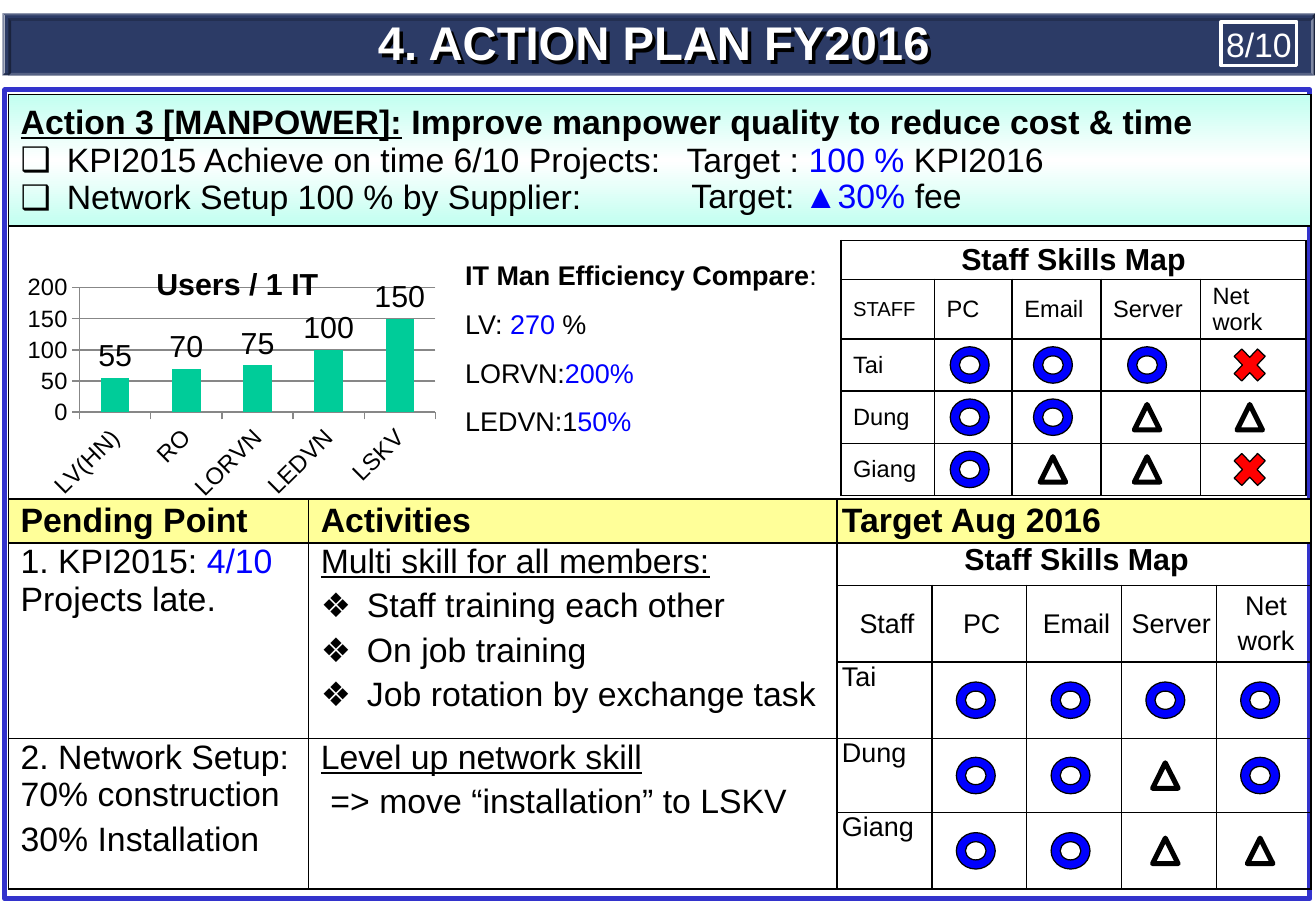
from dataclasses import dataclass
from itertools import accumulate

from lxml import etree
from pptx import Presentation, util as u
from pptx.chart.data import CategoryChartData
from pptx.dml.color import RGBColor
from pptx.enum import chart as charts, shapes, text
from pptx.oxml import parse_xml
from pptx.oxml.ns import nsdecls, qn


@dataclass(frozen=True)
class Theme:
    font: str = "Arial"
    black: str = "000000"
    white: str = "FFFFFF"
    navy: str = "2C3B66"
    frame: str = "3333CC"
    blue: str = "0000FF"
    red: str = "FF0000"
    green: str = "00CC99"
    mint: str = "C2FFF0"
    yellow: str = "FFFF99"
    gray: str = "878787"
    title: int = 28
    body: int = 20
    heading: int = 18
    label: int = 16
    small: int = 14
    tiny: int = 12


THEME = Theme()
CENTER = text.PP_ALIGN.CENTER
MIDDLE = text.MSO_ANCHOR.MIDDLE
SHAPE = shapes.MSO_SHAPE


def rgb(color):
    return RGBColor.from_string(color)


def blue(words):
    return words, {"color": THEME.blue}


def write(frame, *runs, size=THEME.body, bold=False, underline=False, color=THEME.black,
          align=None, bullet=None, before=0, spacing=None, indent=0):
    paragraph = frame.paragraphs[0]
    if paragraph.runs:
        paragraph = frame.add_paragraph()
        paragraph.space_before = u.Pt(before)
    paragraph.alignment = align
    paragraph.line_spacing = spacing
    properties = paragraph._p.get_or_add_pPr()
    if bullet or indent:
        properties.set("marL", str(u.Inches(indent or 0.38)))
    if bullet:
        properties.set("indent", str(-u.Inches(0.38)))
        etree.SubElement(properties, qn("a:buFont")).set("typeface", THEME.font)
        etree.SubElement(properties, qn("a:buChar")).set("char", bullet)
    base = {"bold": bold, "underline": underline, "color": color}
    for item in runs:
        words, changes = (item, {}) if isinstance(item, str) else item
        style = {**base, **changes}
        run = paragraph.add_run()
        run.text = words
        run.font.name, run.font.size = THEME.font, u.Pt(size)
        run.font.bold, run.font.underline = style["bold"], style["underline"]
        run.font.color.rgb = rgb(style["color"])


def draw(slide, kind, box, fill=None, line=None, weight=0.75):
    shape = slide.shapes.add_shape(kind, *map(u.Inches, box))
    shape.shadow.inherit = False
    if fill:
        shape.fill.solid()
        shape.fill.fore_color.rgb = rgb(fill)
    else:
        shape.fill.background()
    if line:
        shape.line.color.rgb = rgb(line)
        shape.line.width = u.Pt(weight)
    else:
        shape.line.fill.background()
    return shape


def set_margins(holder, left=0, top=0, right=0, bottom=0):
    holder.margin_left, holder.margin_top = u.Inches(left), u.Inches(top)
    holder.margin_right, holder.margin_bottom = u.Inches(right), u.Inches(bottom)


def text_box(slide, box, anchor=None, margins=(0, 0, 0, 0), shadow=None):
    shape = slide.shapes.add_textbox(*map(u.Inches, box))
    if shadow:
        shape._element.spPr.append(parse_xml(
            f'<a:effectLst {nsdecls("a")}><a:outerShdw dist="35921" dir="2700000" algn="ctr" rotWithShape="0">'
            f'<a:srgbClr val="{shadow}"/></a:outerShdw></a:effectLst>'))
    frame = shape.text_frame
    frame.word_wrap = True
    frame.vertical_anchor = anchor
    set_margins(frame, *margins)
    return frame


def ruled_table(slide, left, top, columns, rows):
    table = slide.shapes.add_table(len(rows), len(columns), u.Inches(left), u.Inches(top),
                                   u.Inches(sum(columns)), u.Inches(sum(rows))).table
    table.first_row = table.horz_banding = False
    for column, width in zip(table.columns, columns):
        column.width = u.Inches(width)
    for row, height in zip(table.rows, rows):
        row.height = u.Inches(height)
    for cell in table.iter_cells():
        set_margins(cell)
        for side in "LRTB":
            cell._tc.get_or_add_tcPr().append(parse_xml(
                f'<a:ln{side} {nsdecls("a")} w="12700"><a:solidFill>'
                f'<a:srgbClr val="{THEME.black}"/></a:solidFill></a:ln{side}>'))
        cell.fill.background()
    return table


def open_cell(table, row, column, rows=1, columns=1, left=0.1, right=0.1, anchor=MIDDLE, fill=None):
    cell = table.cell(row, column)
    if rows * columns > 1:
        cell.merge(table.cell(row + rows - 1, column + columns - 1))
    set_margins(cell, left, 0, right, 0)
    cell.vertical_anchor = anchor
    if fill:
        cell.fill.solid()
        cell.fill.fore_color.rgb = rgb(fill)
    return cell


def fill_with_bands(cell, edge, middle):
    properties = cell._tc.tcPr
    properties.remove(properties.find(qn("a:noFill")))
    stops = "".join(f'<a:gs pos="{position}"><a:srgbClr val="{color}"/></a:gs>'
                    for position, color in ((0, edge), (50000, middle), (100000, edge)))
    properties.append(parse_xml(f'<a:gradFill {nsdecls("a")} rotWithShape="1"><a:gsLst>{stops}</a:gsLst>'
                                '<a:lin ang="5400000" scaled="1"/></a:gradFill>'))


def skill_marks(slide, left, top, columns, rows, pattern):
    styles = {"O": (SHAPE.DONUT, 0.32, 0.3, THEME.blue, 0.75),
              "A": (SHAPE.ISOSCELES_TRIANGLE, 0.21, 0.21, None, 3),
              "X": (SHAPE.MATH_MULTIPLY, 0.37, 0.39, THEME.red, 0.75)}
    rights, bottoms = list(accumulate(columns)), list(accumulate(rows))
    for row, marks in enumerate(pattern, len(rows) - len(pattern)):
        for column, mark in enumerate(marks, 1):
            kind, width, height, fill, weight = styles[mark]
            x = left + rights[column] - (columns[column] + width) / 2 - 0.03
            y = top + bottoms[row] - (rows[row] + height) / 2
            draw(slide, kind, (x, y, width, height), fill, THEME.black, weight)


def header(slide, left, top, width, height):
    for box, turn, depth in (((left, top, width, height), 0, 0.035),
                             ((left + 0.05, top + 0.04, width - 0.06, height - 0.04), 180, 0.045)):
        bar = draw(slide, SHAPE.BEVEL, box, THEME.navy)
        bar.rotation = turn
        bar.adjustments[0] = depth
    title = text_box(slide, (left + 0.29, top, width - 0.66, height - 0.04), MIDDLE, shadow=THEME.black)
    write(title, "4. ACTION PLAN FY2016", size=THEME.title, bold=True, color=THEME.white, align=CENTER)
    page = draw(slide, SHAPE.RECTANGLE, (left + width - 0.77, top + 0.07, 0.62, 0.36),
                None, THEME.white, 2.25).text_frame
    set_margins(page, 0.02, 0.05, 0.02, 0.05)
    page.vertical_anchor = MIDDLE
    write(page, "8/10", color=THEME.white, align=CENTER)


def plan_table(slide, left, top):
    columns = [2.47, 4.35] + [0.78] * 5
    rows = [1.08, 2.25, 0.36, 0.35, 0.63, 0.63, 0.61, 0.63]
    table = ruled_table(slide, left, top, columns, rows)
    action = open_cell(table, 0, 0, columns=7)
    fill_with_bands(action, THEME.mint, THEME.white)
    write(action.text_frame, ("Action 3 [MANPOWER]:", {"underline": True}),
          " Improve manpower quality to reduce cost & time", bold=True)
    for goal in ("KPI2015 Achieve on time 6/10 Projects:", "Network Setup 100 % by Supplier:"):
        write(action.text_frame, goal, bullet="❑")
    targets = text_box(slide, (left + 5.58, top + 0.36, 4.5, 0.64))
    write(targets, "Target : ", blue("100 %"), " KPI2016")
    write(targets, "Target: ", blue("▲30% "), "fee", indent=0.04, spacing=0.9)
    open_cell(table, 1, 0, columns=7)
    for column, heading in enumerate(("Pending Point", "Activities", "Target Aug 2016")):
        cell = open_cell(table, 2, column, columns=5 if column == 2 else 1,
                         left=0.04 if column == 2 else 0.1, fill=THEME.yellow)
        write(cell.text_frame, heading, bold=True)

    pending, activities, setup, level = (
        open_cell(table, row, column, rows=span, anchor=None).text_frame
        for row, span in ((3, 3), (6, 2)) for column in (0, 1))
    write(pending, "1. KPI2015: ", blue("4/10"), " Projects late.")
    write(activities, "Multi skill for all members:", underline=True)
    for activity in ("Staff training each other", "On job training", "Job rotation by exchange task"):
        write(activities, activity, bullet="❖", before=4)
    write(setup, "2. Network Setup: 70% construction")
    write(setup, "30% Installation", before=4)
    write(level, "Level up network skill", underline=True)
    write(level, "=> move “installation” to LSKV", before=4, indent=0.08)

    heading = open_cell(table, 3, 2, columns=5, left=0.04, right=0, anchor=None)
    write(heading.text_frame, "Staff Skills Map", size=THEME.heading, bold=True, align=CENTER)
    for column, lines in enumerate((["Staff"], ["PC"], ["Email"], ["Server"], ["Net", "work"]), 2):
        cell = open_cell(table, 4, column, left=0.04, right=0)
        for line in lines:
            write(cell.text_frame, line, size=THEME.label, align=CENTER, before=3)
    for row, name in enumerate(("Tai", "Dung", "Giang"), 5):
        cell = open_cell(table, row, 2, left=0.04, right=0, anchor=None)
        write(cell.text_frame, name, size=THEME.label)
    skill_marks(slide, left + sum(columns[:2]), top, columns[2:], rows, ("OOOO", "OOAO", "OOAA"))


def current_skills(slide, left, top):
    columns, rows = [0.77, 0.64, 0.73, 0.82, 0.87], [0.32, 0.49, 0.43, 0.43, 0.43]
    table = ruled_table(slide, left, top, columns, rows)
    write(open_cell(table, 0, 0, columns=5).text_frame, "Staff Skills Map",
          size=THEME.heading, bold=True, align=CENTER)
    for column, lines in enumerate((["STAFF"], ["PC"], ["Email"], ["Server"], ["Net", "work"])):
        cell = open_cell(table, 1, column)
        for line in lines:
            write(cell.text_frame, line, size=THEME.small if column else THEME.tiny)
    for row, name in enumerate(("Tai", "Dung", "Giang"), 2):
        write(open_cell(table, row, 0).text_frame, name, size=THEME.small)
    skill_marks(slide, left, top, columns, rows, ("OOOX", "OOAA", "OAAX"))


def efficiency(slide, *box):
    frame = text_box(slide, box, margins=(0.1, 0.05, 0.1, 0.05))
    for runs in ((("IT Man Efficiency Compare", {"bold": True}), ":"), ("LV: ", blue("270"), " %"),
                 ("LORVN:", blue("200%")), ("LEDVN:1", blue("50%"))):
        write(frame, *runs, size=THEME.label, spacing=1.5)


def place(element, position, **settings):
    for layout in element.findall(qn("c:layout")):
        element.remove(layout)
    parts = "".join(f'<c:{name} val="{value}"/>' for name, value in settings.items())
    element.insert(position, parse_xml(
        f'<c:layout {nsdecls("c")}><c:manualLayout>{parts}</c:manualLayout></c:layout>'))


def users_chart(slide, *box):
    data = CategoryChartData()
    data.categories = ["LV(HN)", "RO", "LORVN", "LEDVN", "LSKV"]
    data.add_series("Users / 1 IT", (55, 70, 75, 100, 150))
    chart = slide.shapes.add_chart(charts.XL_CHART_TYPE.COLUMN_CLUSTERED, *map(u.Inches, box), data).chart
    chart.font.name, chart.font.size = THEME.font, u.Pt(THEME.heading)
    chart.font.color.rgb = rgb(THEME.black)
    chart.has_legend = False
    write(chart.chart_title.text_frame, "Users / 1 IT", size=THEME.heading, bold=True)
    chart.chart_title.include_in_layout = False
    plot = chart.plots[0]
    plot.gap_width, plot.vary_by_categories = 150, False
    plot.has_data_labels = True
    plot.data_labels.show_value = True
    plot.data_labels.position = charts.XL_LABEL_POSITION.OUTSIDE_END
    fill = plot.series[0].format.fill
    fill.solid()
    fill.fore_color.rgb = rgb(THEME.green)
    values = chart.value_axis
    values.minimum_scale, values.maximum_scale, values.major_unit = 0, 200, 50
    values.major_gridlines.format.line.color.rgb = rgb(THEME.gray)
    for axis in (values, chart.category_axis):
        axis.tick_labels.font.size = u.Pt(THEME.small)
        axis.format.line.color.rgb = rgb(THEME.gray)
    chart.category_axis._element.find(qn("c:txPr")).find(qn("a:bodyPr")).set("rot", "-2700000")
    place(chart.chart_title._element, 1, xMode="edge", yMode="edge", x=0.32, y=0.05)
    place(chart._chartSpace.chart.plotArea, 0, layoutTarget="inner", xMode="edge", yMode="edge",
          x=0.16, y=0.16, w=0.8, h=0.47)


def main():
    presentation = Presentation()
    presentation.slide_width, presentation.slide_height = u.Inches(10.83), u.Inches(7.5)
    slide = presentation.slides.add_slide(presentation.slide_layouts[6])
    draw(slide, SHAPE.RECTANGLE, (0.04, 0.74, 10.74, 6.66), None, THEME.frame, 3)
    plan_table(slide, 0.07, 0.78)
    current_skills(slide, 6.92, 1.98)
    efficiency(slide, 3.73, 1.95, 3.25, 1.72)
    users_chart(slide, 0.07, 2.02, 3.66, 2.18)
    header(slide, 0.02, 0.11, 10.8, 0.51)
    presentation.save("out.pptx")


if __name__ == "__main__":
    main()
